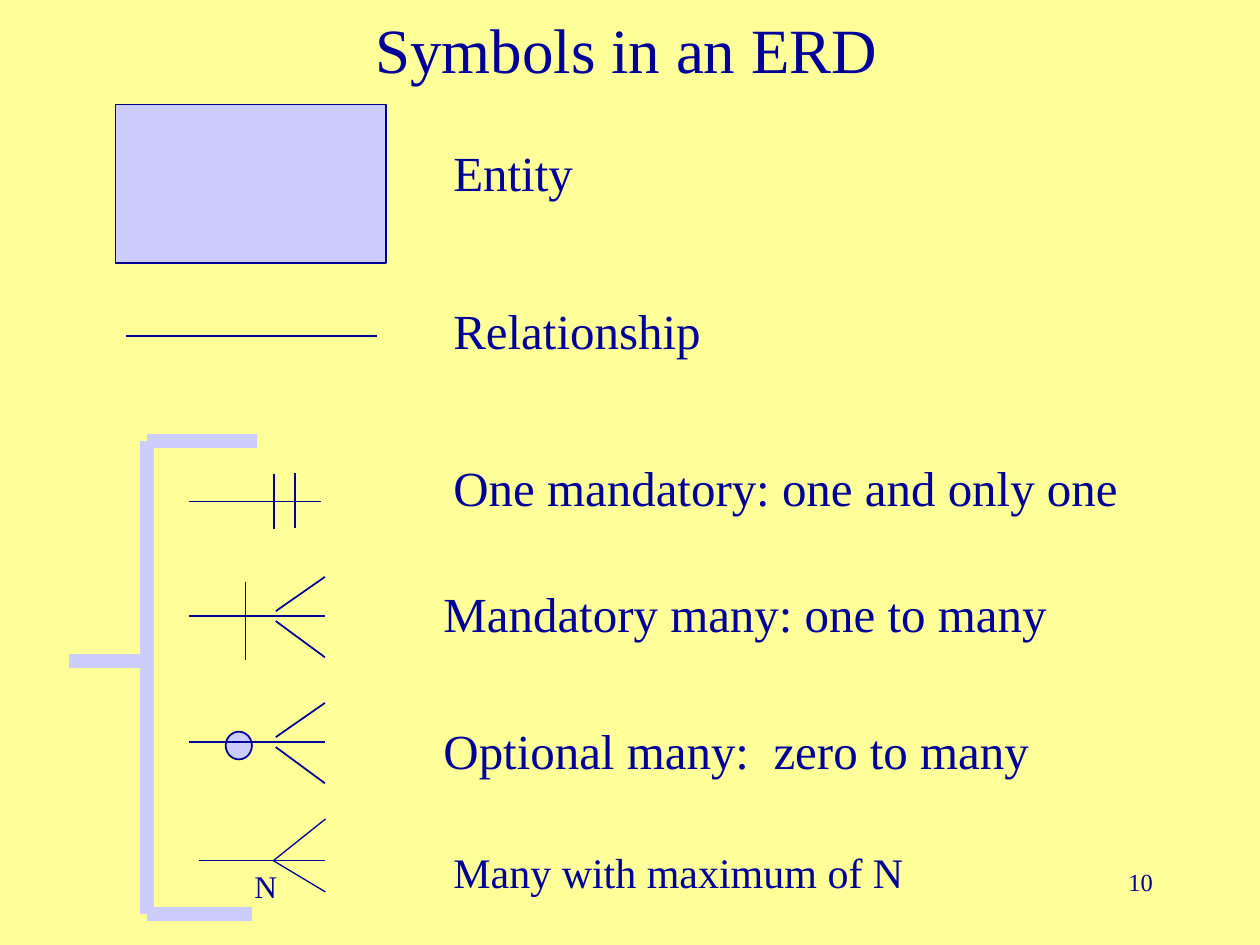
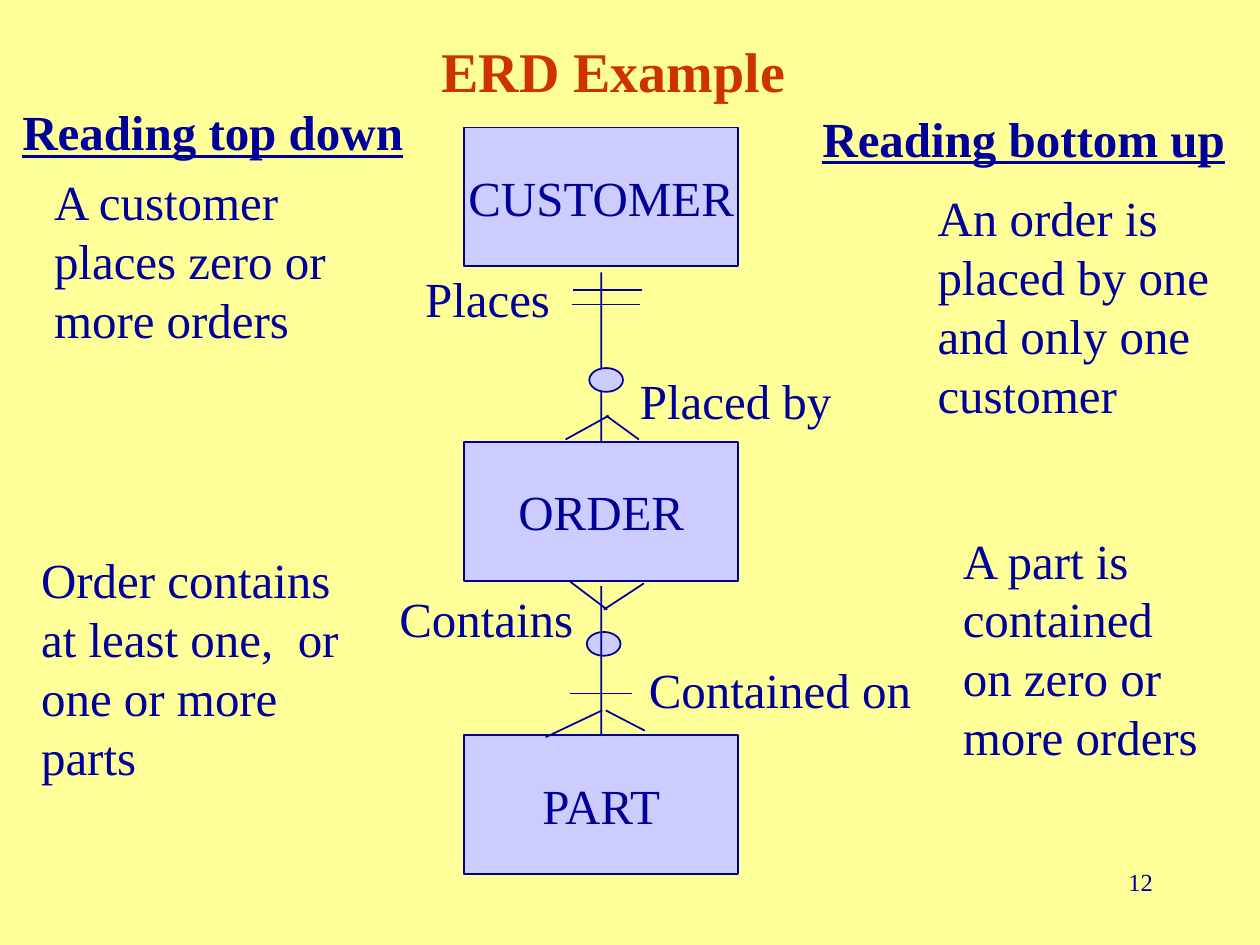
"""Build two slides on entity relationship diagrams: the symbols and an example."""
import pptx
import pptx.dml.color
import pptx.enum.shapes
import pptx.enum.text
import pptx.oxml.ns
import pptx.util
from lxml import etree

Cm = pptx.util.Cm
Shape = pptx.enum.shapes.MSO_SHAPE
Anchor = pptx.enum.text.MSO_ANCHOR
Align = pptx.enum.text.PP_ALIGN

FONT = "Times New Roman"
NAVY, LILAC, CREAM, RUST = "000099", "CCCCFF", "FFFF99", "CC3300"
PAGE_NUMBER_AREA = (18.21, 17.35, 5.28, 1.27)
LABEL_HEIGHT = 1.42

SYMBOLS_TITLE = ("Symbols in an ERD", (1.83, 0.46, 21.59, 1.02))
SYMBOL_LABELS = [
    ("Entity", 8.89, 2.74, 3.3, 28),
    ("Relationship", 8.89, 5.93, 5.9, 28),
    ("One mandatory: one and only one", 8.89, 9.09, 14.5, 28),
    ("Mandatory many: one to many", 8.69, 11.63, 13.2, 28),
    ("Optional many:  zero to many", 8.69, 14.4, 12.9, 28),
    ("Many with maximum of N", 8.89, 16.94, 12.27, 24),
    ("N", 4.88, 17.35, 1.2, 18),
]
ENTITY_AREA = (2.33, 2.11, 5.46, 3.2)
RELATIONSHIP_LINE = (2.54, 6.78, 7.59, 6.78)
ONE_MANDATORY_LINES = [
    (3.81, 10.11, 6.48, 10.11),
    (5.53, 9.55, 5.53, 10.67),
    (5.94, 9.53, 5.94, 10.64),
]
MANY_ROWS = [12.42, 14.96]
MANDATORY_BAR = (4.95, 11.73, 4.95, 13.31)
OPTIONAL_CIRCLE = (4.55, 14.75, 0.53, 0.56)
MAXIMUM_LINES = [
    (4.02, 17.35, 6.56, 17.35),
    (5.51, 17.35, 6.56, 16.51),
    (5.51, 17.35, 6.56, 17.98),
]
BRACKET_LINES = [
    (5.18, 8.89, 2.97, 8.89),
    (2.97, 8.89, 2.97, 18.42),
    (2.97, 18.42, 5.08, 18.42),
    (3.02, 13.33, 1.4, 13.33),
]

EXAMPLE_TITLE = ("ERD Example", (1.57, 0.27, 21.59, 2.29))
ENTITY_LEFT, ENTITY_WIDTH, ENTITY_HEIGHT = 9.36, 5.52, 2.8
ENTITIES = [("CUSTOMER", 2.57), ("ORDER", 8.91), ("PART", 14.82)]
LINK_STARTS = [5.49, 11.81]
UPPER_CIRCLE = (11.88, 7.42, 0.68, 0.48)
LOWER_CIRCLE = (11.83, 12.74, 0.68, 0.48)
LINK_MARKS = [
    (11.56, 5.84, 12.94, 5.84),
    (11.53, 6.14, 12.9, 6.14),
    (12.27, 8.38, 11.4, 8.86),
    (12.22, 8.38, 12.88, 8.86),
    (12.24, 12.29, 11.5, 11.73),
    (12.17, 12.29, 12.98, 11.76),
    (11.49, 13.98, 12.75, 13.98),
    (12.14, 14.32, 11, 14.86),
    (12.21, 14.32, 13, 14.73),
]
LINK_LABELS = [
    ("Placed by", 12.65, 7.34, 4.8),
    ("Places", 8.32, 5.28, 3.4),
    ("Contained on", 12.83, 13.17, 6.2),
    ("Contains", 7.8, 11.73, 4.4),
]
HEADINGS = [
    ("Reading top down", 0.2, 1.93, 8.8),
    ("Reading bottom up", 16.33, 2.06, 9.05),
]
READINGS = [
    ("A customer places zero or more orders", (0.84, 3.33, 6.88, 3.81)),
    ("An order is placed by one and only one customer", (18.65, 3.66, 6.43, 4.98)),
    ("Order contains at least one,  or one or more parts", (0.58, 10.96, 6.83, 4.98)),
    ("A part is contained on zero or more orders", (19.16, 10.56, 5.41, 4.98)),
]


def color(value):
    """Turn a hex string into a colour."""
    return pptx.dml.color.RGBColor.from_string(value)


def write(box, text, size=28, ink=NAVY, bold=False, underline=False,
          align=Align.LEFT, anchor=Anchor.TOP, wrap=True):
    """Put one formatted paragraph into a box."""
    frame = box.text_frame
    frame.word_wrap = wrap
    frame.vertical_anchor = anchor
    para = frame.paragraphs[0]
    para.alignment = align
    span = para.add_run()
    span.text = text
    span.font.name = FONT
    span.font.size = pptx.util.Pt(size)
    span.font.color.rgb = color(ink)
    span.font.bold = bold
    span.font.underline = underline


def add_text(page, text, area, **style):
    """Add a text box."""
    write(page.shapes.add_textbox(*map(Cm, area)), text, **style)


def add_label(page, text, left, top, width, **style):
    """Add a text box for one line."""
    add_text(page, text, (left, top, width, LABEL_HEIGHT), **style)


def add_figure(page, kind, area):
    """Add a lilac shape with a navy outline."""
    figure = page.shapes.add_shape(kind, *map(Cm, area))
    figure.shadow.inherit = False
    figure.fill.solid()
    figure.fill.fore_color.rgb = color(LILAC)
    figure.line.color.rgb = color(NAVY)
    figure.line.width = pptx.util.Pt(1)
    return figure


def add_line(page, ends, ink=NAVY, weight=1):
    """Add a straight line between two points."""
    line = page.shapes.add_connector(
        pptx.enum.shapes.MSO_CONNECTOR.STRAIGHT, *map(Cm, ends))
    line.line.color.rgb = color(ink)
    line.line.width = pptx.util.Pt(weight)
    etree.SubElement(line._element.spPr, pptx.oxml.ns.qn("a:effectLst"))
    return line


def add_page(deck, title, number, **title_style):
    """Add a slide with background, title and page number."""
    page = deck.slides.add_slide(deck.slide_layouts[6])
    page.background.fill.solid()
    page.background.fill.fore_color.rgb = color(CREAM)
    add_text(page, *title, align=Align.CENTER, anchor=Anchor.MIDDLE, **title_style)
    add_text(page, number, PAGE_NUMBER_AREA, size=14, align=Align.RIGHT)
    return page


def build_symbols(deck):
    """Build the slide that lists the symbols."""
    page = add_page(deck, SYMBOLS_TITLE, "10", size=36)
    add_figure(page, Shape.RECTANGLE, ENTITY_AREA)
    add_figure(page, Shape.OVAL, OPTIONAL_CIRCLE)
    for ends in [RELATIONSHIP_LINE, *ONE_MANDATORY_LINES, MANDATORY_BAR]:
        add_line(page, ends)
    for y in MANY_ROWS:
        add_line(page, (3.81, y, 6.55, y))
        add_line(page, (5.56, y - 0.1, 6.55, y - 0.79))
        add_line(page, (5.56, y + 0.1, 6.55, y + 0.83))
    for ends in BRACKET_LINES:
        add_line(page, ends, ink=LILAC, weight=8)
    for ends in MAXIMUM_LINES:
        add_line(page, ends, weight=0.75)
    for text, left, top, width, size in SYMBOL_LABELS:
        add_label(page, text, left, top, width, size=size)


def build_example(deck):
    """Build the slide with the example diagram."""
    page = add_page(deck, EXAMPLE_TITLE, "12", size=32, ink=RUST, bold=True)
    add_figure(page, Shape.OVAL, LOWER_CIRCLE)
    boxes = []
    for name, top in ENTITIES:
        box = add_figure(page, Shape.RECTANGLE,
                         (ENTITY_LEFT, top, ENTITY_WIDTH, ENTITY_HEIGHT))
        write(box, name, align=Align.CENTER, anchor=Anchor.MIDDLE, wrap=False)
        boxes.append(box)
    middle = ENTITY_LEFT + ENTITY_WIDTH / 2
    for start, (name, top), box in zip(LINK_STARTS, ENTITIES[1:], boxes[1:]):
        add_line(page, (middle, start, middle, top)).end_connect(box, 0)
    add_figure(page, Shape.OVAL, UPPER_CIRCLE)
    for ends in LINK_MARKS:
        add_line(page, ends)
    for label in LINK_LABELS:
        add_label(page, *label)
    for heading in HEADINGS:
        add_label(page, *heading, bold=True, underline=True)
    for text, area in READINGS:
        add_text(page, text, area)


def main():
    """Build and save the deck."""
    deck = pptx.Presentation()
    deck.slide_width, deck.slide_height = Cm(25.4), Cm(19.05)
    build_symbols(deck)
    build_example(deck)
    deck.save("out.pptx")


if __name__ == "__main__":
    main()
